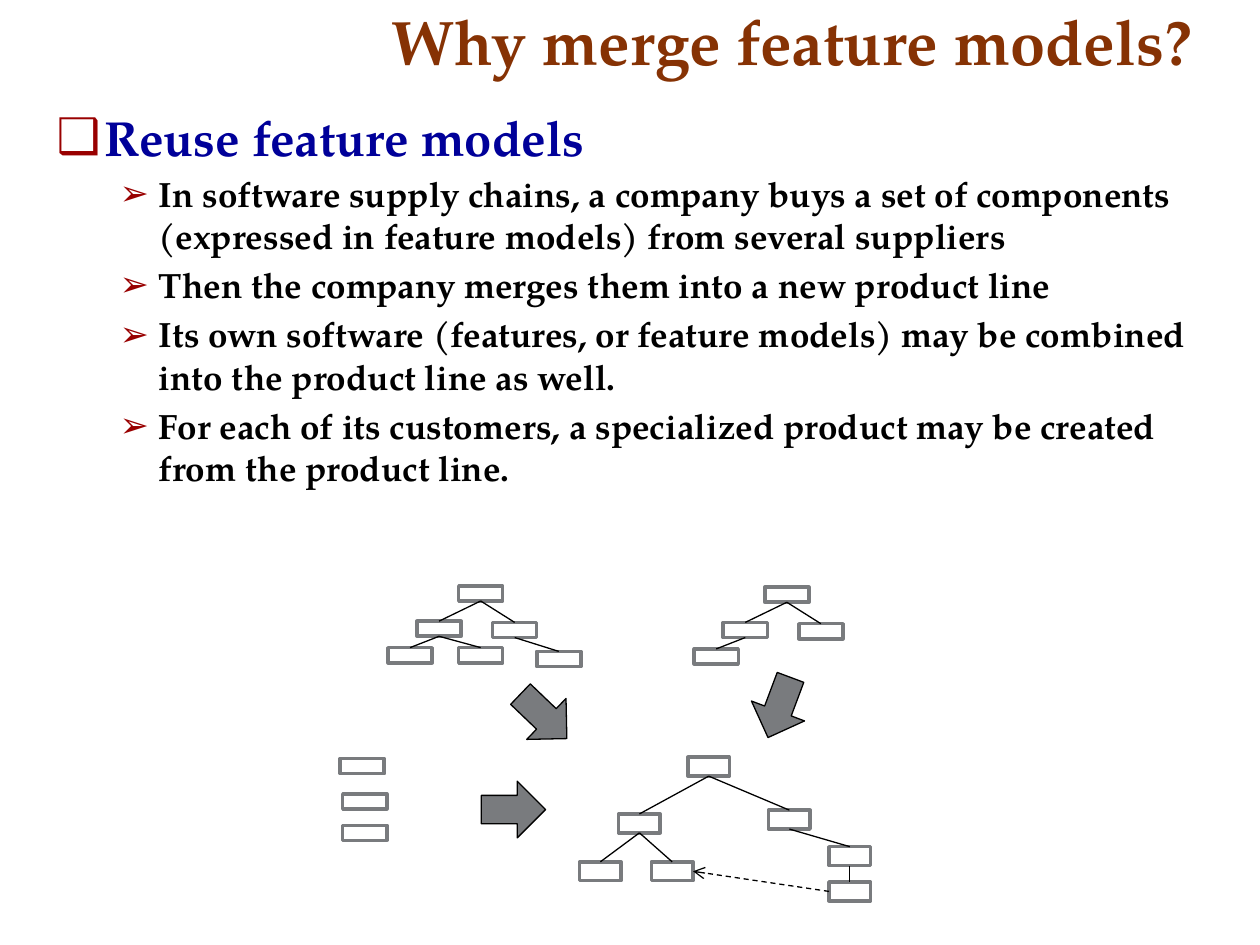
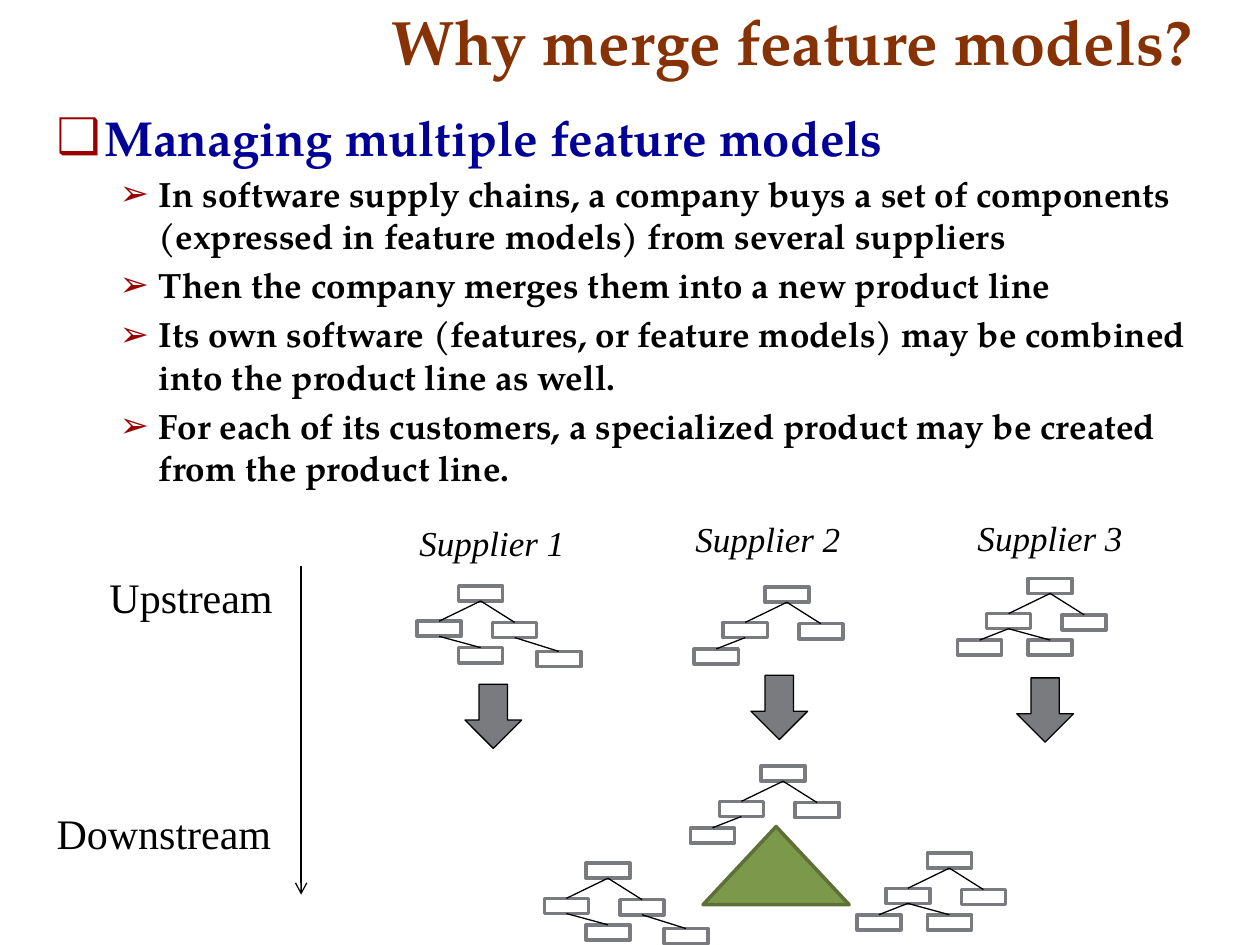
from lxml.etree import SubElement
from pptx import Presentation
from pptx.dml.color import RGBColor
from pptx.enum.dml import MSO_LINE
from pptx.enum.shapes import MSO_CONNECTOR, MSO_SHAPE
from pptx.enum.text import MSO_ANCHOR, MSO_AUTO_SIZE, PP_ALIGN
from pptx.oxml.ns import qn
from pptx.util import Inches, Pt

COLORS = {"title": "863204", "head": "000099", "mark": "990000", "ink": "000000",
          "paper": "FFFFFF", "gray": "797B7E", "green": "7C984A", "moss": "5C7037"}
SERIF, PLAIN = "TeX Gyre Pagella", "Times New Roman"
COLS, ROWS = 100, 75
TOP, LEFT, BOTTOM, RIGHT = range(4)

TITLE = "Why merge feature models?"
POINTS = [
    "In software supply chains, a company buys a set of components "
    "(expressed in feature models) from several suppliers",
    "Then the company merges them into a new product line",
    "Its own software (features, or feature models) may be combined "
    "into the product line as well.",
    "For each of its customers, a specialized product may be created "
    "from the product line.",
]

# Node offsets from the root; a node's parent is its name less the last letter
SMALL = {"": (0, 0), "l": (-3.3, 2.8), "r": (2.7, 2.9),
         "ll": (-5.6, 4.9), "lr": (0, 4.9), "rr": (6.2, 5.2)}
MERGED = {"": (0, 0), "l": (-5.5, 4.5), "r": (6.4, 4.2), "ll": (-8.6, 8.3),
          "lr": (-2.9, 8.3), "rr": (11.2, 7.1), "rrr": (11.2, 9.9)}
FULL = ["", "l", "r", "ll", "lr", "rr"]
SPLIT = ["", "l", "r", "lr", "rr"]
SHORT = ["", "l", "r", "ll"]
EVEN = ["", "l", "r", "ll", "lr"]
NODE, WIDE = (3.5, 1.2), (3.3, 1.5)


def rgb(name):
    return RGBColor.from_string(COLORS[name])


class Deck:
    def __init__(self):
        self.prs = Presentation()
        self.prs.slide_width, self.prs.slide_height = Inches(10), Inches(7.5)
        self.slide = None

    def x(self, cols):
        return round(self.prs.slide_width * cols / COLS)

    def y(self, rows):
        return round(self.prs.slide_height * rows / ROWS)

    def place(self, at):
        x, y, w, h = at
        return self.x(x), self.y(y), self.x(w), self.y(h)

    def run(self, para, text, size, color, face, bold=False, italic=False):
        font = para.add_run()
        font.text = text
        font = font.font
        font.name, font.size, font.bold, font.italic = face, Pt(size), bold, italic
        font.color.rgb = rgb(color)

    def holder(self, shape, at, anchor):
        shape.left, shape.top, shape.width, shape.height = self.place(at)
        frame = shape.text_frame
        frame.word_wrap, frame.auto_size = True, MSO_AUTO_SIZE.NONE
        frame.vertical_anchor = anchor
        return frame

    def bullet(self, para, sign, margin, indent):
        props = para._p.get_or_add_pPr()
        props.set("marL", str(Inches(margin)))
        props.set("indent", str(Inches(-indent)))
        tint = SubElement(props, qn("a:buClr"))
        SubElement(tint, qn("a:srgbClr"), val=COLORS["mark"])
        SubElement(props, qn("a:buChar"), char=sign)

    def page(self, head):
        """Start a slide with its title and list."""
        self.slide = self.prs.slides.add_slide(self.prs.slide_layouts[1])
        title, body = self.slide.placeholders
        para = self.holder(title, (30.1, -0.3, 68.4, 7), MSO_ANCHOR.BOTTOM).paragraphs[0]
        para.alignment = PP_ALIGN.LEFT
        self.run(para, TITLE, 36, "title", SERIF, bold=True)

        frame = self.holder(body, (3.5, 8, 92.3, 57), MSO_ANCHOR.TOP)
        para = frame.paragraphs[0]
        self.bullet(para, "❑", 0.38, 0.38)
        para.space_before = Pt(0)
        self.run(para, head, 28, "head", SERIF, bold=True)
        for point in POINTS:
            para = frame.add_paragraph()
            para.level = 1
            self.bullet(para, "➢", 0.81, 0.31)
            para.space_before = Pt(4)
            self.run(para, point, 20, "ink", SERIF, bold=True)

    def shape(self, kind, at, fill="paper", line="gray", width=2, turn=0):
        shape = self.slide.shapes.add_shape(kind, *self.place(at))
        shape.shadow.inherit = False
        shape.fill.solid()
        shape.fill.fore_color.rgb = rgb(fill)
        shape.line.color.rgb = rgb(line)
        shape.line.width = Pt(width)
        shape.rotation = turn
        return shape

    def box(self, x, y, size=NODE):
        return self.shape(MSO_SHAPE.RECTANGLE, (x, y, *size))

    def arrow(self, x, y, turn=0):
        self.shape(MSO_SHAPE.DOWN_ARROW, (x, y, 4.5, 5.1), "gray", "ink", 0.75, turn)

    def line(self, start=(0, 0), end=(0, 0), head=False, dash=False):
        line = self.slide.shapes.add_connector(
            MSO_CONNECTOR.STRAIGHT, self.x(start[0]), self.y(start[1]),
            self.x(end[0]), self.y(end[1]))
        line.line.color.rgb = rgb("ink")
        line.line.width = Pt(0.75)
        if dash:
            line.line.dash_style = MSO_LINE.DASH
        props = line._element.spPr
        if head:
            SubElement(props.find(qn("a:ln")), qn("a:tailEnd"), type="arrow")
        SubElement(props, qn("a:effectLst"))
        return line

    def link(self, one, two, out=BOTTOM, into=TOP, **style):
        line = self.line(**style)
        line.begin_connect(one, out)
        line.end_connect(two, into)

    def tree(self, x, y, names, plan=SMALL, size=NODE):
        """Draw the named nodes and link each one to its parent."""
        nodes = {name: self.box(x + plan[name][0], y + plan[name][1], size)
                 for name in names}
        for name in names:
            if name:
                self.link(nodes[name[:-1]], nodes[name])
        return nodes

    def label(self, text, at, size, italic=False):
        frame = self.slide.shapes.add_textbox(*self.place(at)).text_frame
        frame.word_wrap = False
        self.run(frame.paragraphs[0], text, size, "ink", PLAIN, italic=italic)


def reuse(deck):
    deck.page("Reuse feature models")
    # Source models
    deck.tree(36.4, 46.5, FULL)
    deck.tree(60.7, 46.6, SHORT)
    for x, y in [(27, 60.2), (27.2, 63), (27.2, 65.5)]:
        deck.box(x, y)
    # Arrows into the merged model
    for x, y, turn in [(40.9, 54.3, 313.8), (59.6, 53.6, 20.5), (38.5, 61.7, 270)]:
        deck.arrow(x, y, turn)
    # Merged model
    nodes = deck.tree(54.6, 60.1, MERGED, MERGED, WIDE)
    deck.link(nodes["rrr"], nodes["lr"], LEFT, RIGHT, head=True, dash=True)


def manage(deck):
    deck.page("Managing multiple feature models")
    # Flow axis
    deck.label("Upstream", (7.7, 44.9, 15.1, 5), 24)
    deck.label("Downstream", (3.5, 63.6, 19.2, 5), 24)
    deck.line((23.9, 44.9), (23.9, 71), head=True)
    # Suppliers: label, model, arrow
    parts = [((32.3, 40.9), (36.4, 46.5), (36.9, 54.3), SPLIT),
             ((54.2, 40.6), (60.7, 46.6), (59.6, 53.6), SHORT),
             ((76.6, 40.5), (81.6, 45.9), (80.7, 53.8), EVEN)]
    for count, (name, root, arrow, nodes) in enumerate(parts, 1):
        deck.tree(*root, nodes)
        deck.label(f"Supplier {count}", (*name, 13.6, 4.4), 20, italic=True)
        deck.arrow(*arrow)
    # Models around the triangle
    for x, y, nodes in [(46.5, 68.5, SPLIT), (60.4, 60.8, SHORT), (73.6, 67.7, EVEN)]:
        deck.tree(x, y, nodes)
    deck.shape(MSO_SHAPE.ISOSCELES_TRIANGLE, (55.8, 65.6, 11.6, 6.2), "green", "moss")


def main():
    deck = Deck()
    reuse(deck)
    manage(deck)
    deck.prs.save("out.pptx")


if __name__ == "__main__":
    main()
